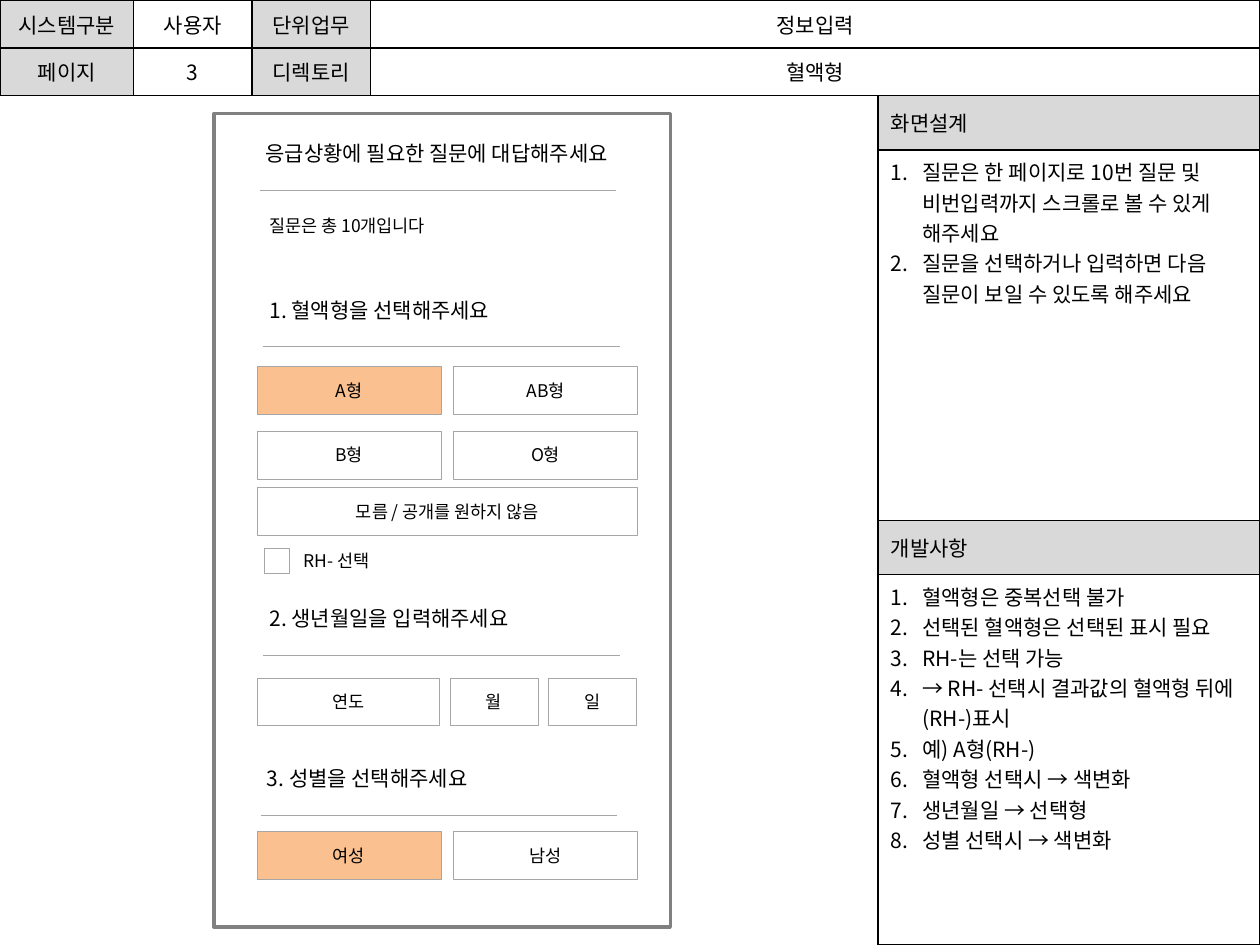
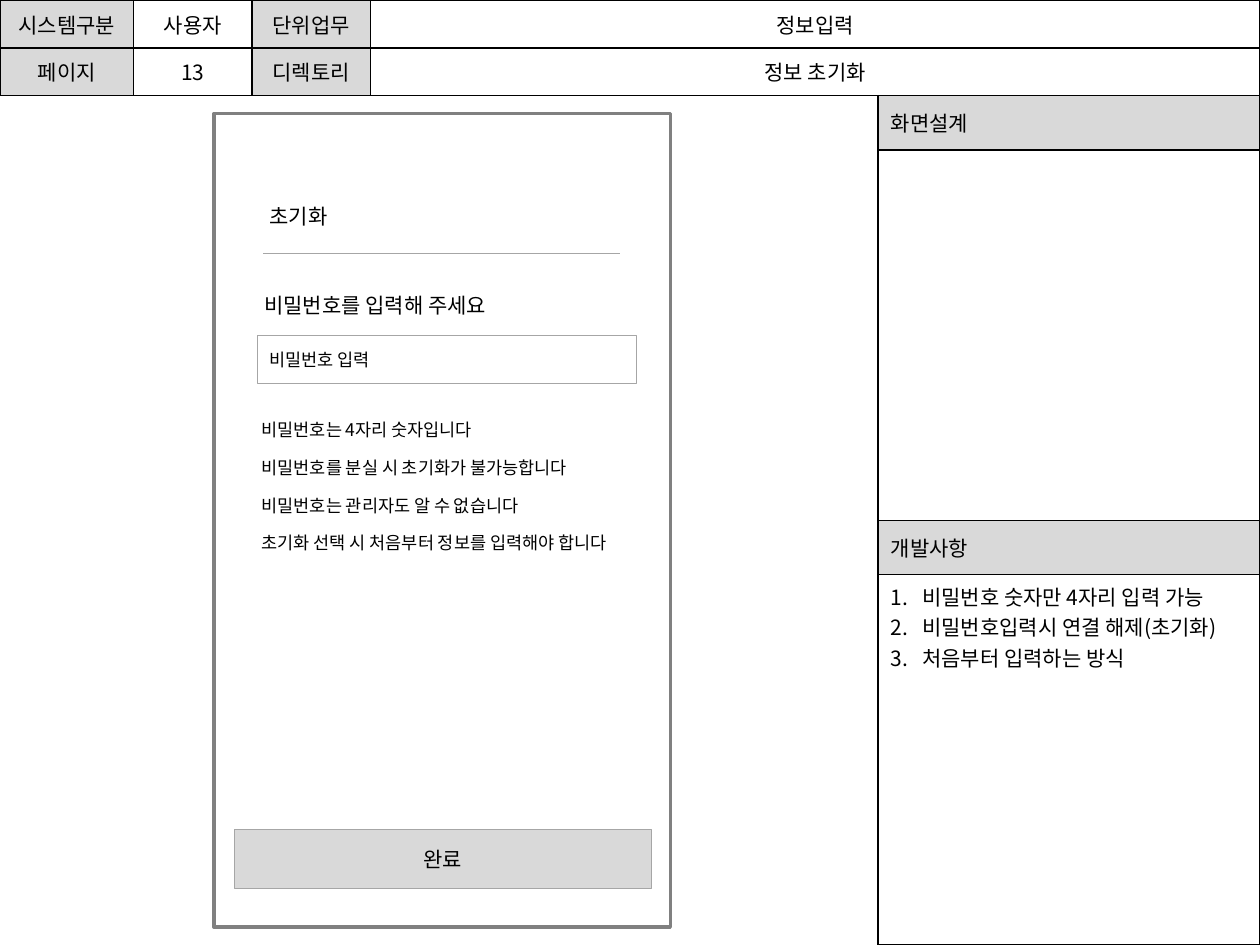
from lxml.etree import SubElement
from pptx import Presentation
from pptx.dml.color import RGBColor
from pptx.enum.shapes import MSO_CONNECTOR, MSO_SHAPE
from pptx.enum.text import MSO_ANCHOR, MSO_AUTO_SIZE, PP_ALIGN
from pptx.oxml.ns import qn
from pptx.util import Inches, Pt

FONT = "Noto Sans CJK KR"
COLORS = {
    "black": "000000",
    "white": "FFFFFF",
    "label": "D9D9D9",
    "selected": "FAC090",
    "frame": "808080",
    "thin": "A6A6A6",
}
HEADING_SIZE, BODY_SIZE = 12, 10

HEADER_COLUMNS = [1.06, 0.94, 0.94, 7.06]
HEADER_ROW = 0.38
PANEL_LEFT, PANEL_TOP, PANEL_WIDTH = 6.97, 0.76, 3.03
PANEL_ROWS = [0.43, 2.94, 0.43, 2.94]
PHONE_FRAME = (1.7, 0.9, 3.62, 6.46)
FORM_LEFT = 2.04
FIELD_HEIGHT = 0.38
RULE_LENGTH = 2.83

# headings: text, left, top, width (each is underlined)
# texts: paragraphs, left, top, width, height, size
# field rows: top, gap, [(label, width)]
SCREENS = [
    {
        "page": "3",
        "directory": "혈액형",
        "design": [
            "질문은 한 페이지로 10번 질문 및 비번입력까지 스크롤로 볼 수 있게 해주세요",
            "질문을 선택하거나 입력하면 다음 질문이 보일 수 있도록 해주세요",
        ],
        "development": [
            "혈액형은 중복선택 불가",
            "선택된 혈액형은 선택된 표시 필요",
            "RH-는 선택 가능",
            "→ RH- 선택시 결과값의 혈액형 뒤에 (RH-)표시",
            "예) A형(RH-)",
            "혈액형 선택시 → 색변화",
            "생년월일 → 선택형",
            "성별 선택시 → 색변화",
        ],
        "headings": [
            ("응급상황에 필요한 질문에 대답해주세요", 2.01, 1.07, 3.23),
            ("1. 혈액형을 선택해주세요", 2.04, 2.31, 2.16),
            ("2. 생년월일을 입력해주세요", 2.04, 4.76, 2.33),
            ("3. 성별을 선택해주세요", 2.02, 6.03, 1.99),
        ],
        "texts": [
            (["질문은 총 10개입니다"], 2.04, 1.66, 1.58, 0.27, BODY_SIZE),
            (["RH- 선택"], 2.31, 4.32, 0.81, 0.27, BODY_SIZE),
        ],
        "field_rows": [
            (2.91, 0.1, [("A형", 1.46), ("AB형", 1.46)]),
            (3.42, 0.1, [("B형", 1.46), ("O형", 1.46)]),
            (3.87, 0.1, [("모름 / 공개를 원하지 않음", 3.02)]),
            (5.38, 0.08, [("연도", 1.45), ("월", 0.7), ("일", 0.7)]),
            (6.6, 0.1, [("여성", 1.46), ("남성", 1.46)]),
        ],
        "selected": {"A형", "여성"},
        "checkbox": (2.1, 4.35, 0.2, 0.2),
    },
    {
        "page": "13",
        "directory": "정보 초기화",
        "design": [],
        "development": [
            "비밀번호 숫자만 4자리 입력 가능",
            "비밀번호입력시 연결 해제(초기화)",
            "처음부터 입력하는 방식",
        ],
        "headings": [("초기화", 2.04, 1.57, 0.71)],
        "texts": [
            (["비밀번호를 입력해 주세요"], 2, 2.27, 2.17, 0.3, HEADING_SIZE),
            (
                [
                    "비밀번호는 4자리 숫자입니다",
                    "비밀번호를 분실 시 초기화가 불가능합니다",
                    "비밀번호는 관리자도 알 수 없습니다",
                    "초기화 선택 시 처음부터 정보를 입력해야 합니다",
                ],
                1.98, 3.28, 3.29, 1.28, BODY_SIZE,
            ),
        ],
        "password_field": ("비밀번호 입력", (FORM_LEFT, 2.66, 3.01, FIELD_HEIGHT)),
        "done_button": ("완료", (1.86, 6.58, 3.31, 0.47)),
    },
]


def color(name):
    return RGBColor.from_string(COLORS[name])


def write(text_frame, lines, size, align=PP_ALIGN.LEFT):
    text_frame.text = "\n".join(lines)
    for paragraph in text_frame.paragraphs:
        paragraph.alignment = align
        for run in paragraph.runs:
            run.font.size = Pt(size)
            run.font.name = FONT
            run.font.bold = False
            run.font.color.rgb = color("black")
            east_asian = SubElement(run.font._element, qn("a:ea"))
            east_asian.set("typeface", FONT)


def number_paragraphs(text_frame):
    for paragraph in text_frame.paragraphs:
        properties = paragraph._p.get_or_add_pPr()
        properties.set("marL", str(Inches(0.25)))
        properties.set("indent", str(-Inches(0.25)))
        SubElement(properties, qn("a:buFont"), typeface=FONT)
        SubElement(properties, qn("a:buAutoNum"), type="arabicPeriod")


def style_cell(cell, is_label):
    """Draw black borders and fill label cells grey."""
    properties = cell._tc.get_or_add_tcPr()
    for side in ("lnL", "lnR", "lnT", "lnB"):
        border = SubElement(properties, qn(f"a:{side}"), w=str(Pt(1)))
        fill = SubElement(border, qn("a:solidFill"))
        SubElement(fill, qn("a:srgbClr"), val=COLORS["black"])
    if is_label:
        cell.fill.solid()
        cell.fill.fore_color.rgb = color("label")
    else:
        cell.fill.background()


def add_grid(slide, left, top, widths, heights):
    frame = slide.shapes.add_table(
        len(heights), len(widths), Inches(left), Inches(top),
        Inches(sum(widths)), Inches(sum(heights)))
    table = frame.table
    table.first_row = table.horz_banding = False
    for column, width in zip(table.columns, widths):
        column.width = Inches(width)
    for row, height in zip(table.rows, heights):
        row.height = Inches(height)
    return table


def add_header(slide, screen):
    rows = [
        ["시스템구분", "사용자", "단위업무", "정보입력"],
        ["페이지", screen["page"], "디렉토리", screen["directory"]],
    ]
    table = add_grid(slide, 0, 0, HEADER_COLUMNS, [HEADER_ROW] * len(rows))
    for row_index, row in enumerate(rows):
        for column_index, text in enumerate(row):
            cell = table.cell(row_index, column_index)
            style_cell(cell, column_index % 2 == 0)
            cell.vertical_anchor = MSO_ANCHOR.MIDDLE
            write(cell.text_frame, [text], HEADING_SIZE, PP_ALIGN.CENTER)


def add_notes_panel(slide, screen):
    table = add_grid(slide, PANEL_LEFT, PANEL_TOP, [PANEL_WIDTH], PANEL_ROWS)
    contents = [["화면설계"], screen["design"], ["개발사항"], screen["development"]]
    for index, lines in enumerate(contents):
        cell = table.cell(index, 0)
        is_label = index % 2 == 0
        style_cell(cell, is_label)
        write(cell.text_frame, lines, HEADING_SIZE)
        if is_label:
            cell.vertical_anchor = MSO_ANCHOR.MIDDLE
        elif lines:
            number_paragraphs(cell.text_frame)


def add_box(slide, box, text="", fill="white", line="thin", line_width=0.25,
            size=BODY_SIZE, align=PP_ALIGN.CENTER):
    shape = slide.shapes.add_shape(MSO_SHAPE.RECTANGLE, *map(Inches, box))
    shape.shadow.inherit = False
    shape.fill.solid()
    shape.fill.fore_color.rgb = color(fill)
    shape.line.color.rgb = color(line)
    shape.line.width = Pt(line_width)
    if text:
        shape.text_frame.vertical_anchor = MSO_ANCHOR.MIDDLE
        write(shape.text_frame, [text], size, align)


def add_text(slide, lines, left, top, width, height, size):
    box = slide.shapes.add_textbox(*map(Inches, (left, top, width, height)))
    text_frame = box.text_frame
    text_frame.word_wrap = False
    text_frame.auto_size = MSO_AUTO_SIZE.SHAPE_TO_FIT_TEXT
    write(text_frame, lines, size)
    for paragraph in text_frame.paragraphs[1:]:
        paragraph.space_before = Pt(9.5)


def add_heading(slide, text, left, top, width):
    add_text(slide, [text], left, top, width, 0.3, HEADING_SIZE)
    start, rule_top = left + 0.05, top + 0.44
    rule = slide.shapes.add_connector(
        MSO_CONNECTOR.STRAIGHT, Inches(start), Inches(rule_top),
        Inches(start + RULE_LENGTH), Inches(rule_top))
    rule.line.color.rgb = color("thin")
    rule.line.width = Pt(0.75)
    SubElement(rule._element.spPr, qn("a:effectLst"))


def add_field_row(slide, top, gap, fields, selected):
    left = FORM_LEFT
    for label, width in fields:
        fill = "selected" if label in selected else "white"
        add_box(slide, (left, top, width, FIELD_HEIGHT), label, fill)
        left += width + gap


def add_screen(presentation, screen):
    slide = presentation.slides.add_slide(presentation.slide_layouts[6])
    add_header(slide, screen)
    add_notes_panel(slide, screen)
    add_box(slide, PHONE_FRAME, line="frame", line_width=2)
    for heading in screen["headings"]:
        add_heading(slide, *heading)
    for text in screen["texts"]:
        add_text(slide, *text)
    for row in screen.get("field_rows", []):
        add_field_row(slide, *row, screen["selected"])
    if "checkbox" in screen:
        add_box(slide, screen["checkbox"])
    if "password_field" in screen:
        text, box = screen["password_field"]
        add_box(slide, box, text, align=PP_ALIGN.LEFT)
    if "done_button" in screen:
        text, box = screen["done_button"]
        add_box(slide, box, text, "label", size=HEADING_SIZE)


def main():
    presentation = Presentation()
    presentation.slide_width = Inches(10)
    presentation.slide_height = Inches(7.5)
    for screen in SCREENS:
        add_screen(presentation, screen)
    presentation.save("out.pptx")


if __name__ == "__main__":
    main()
